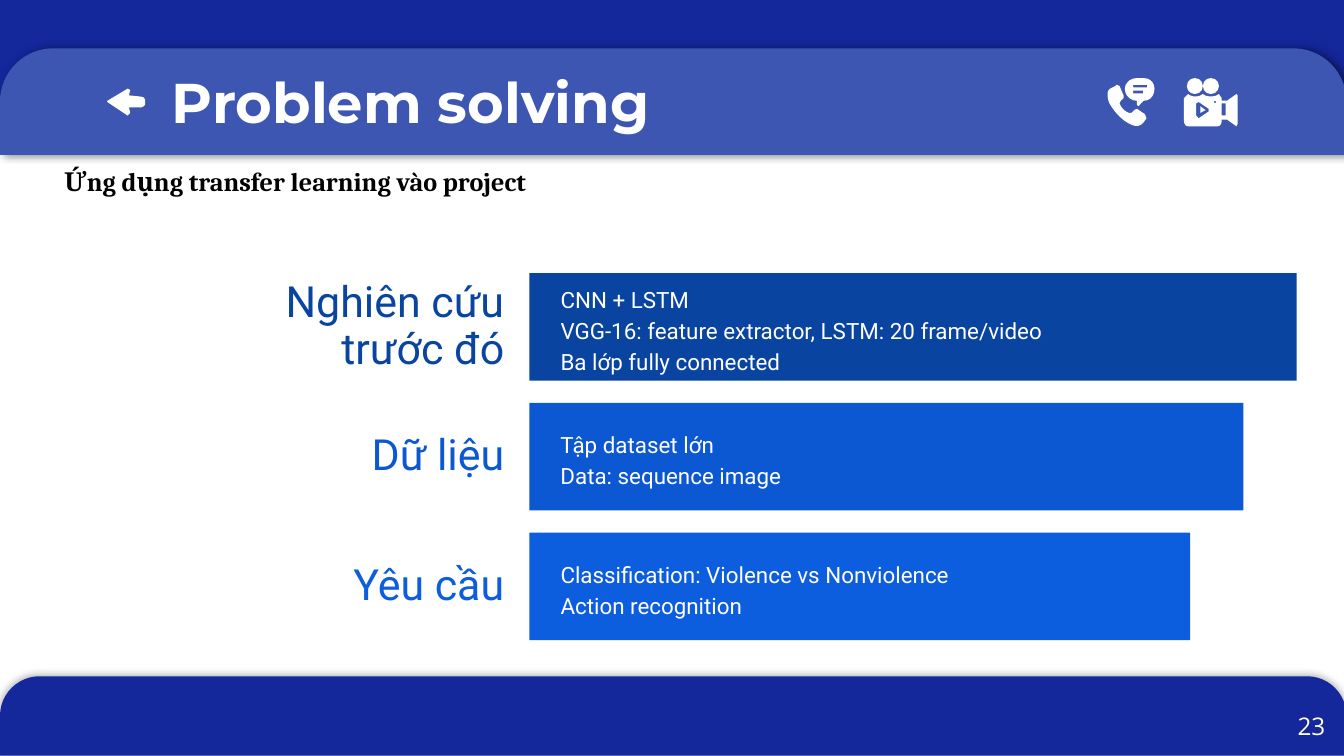
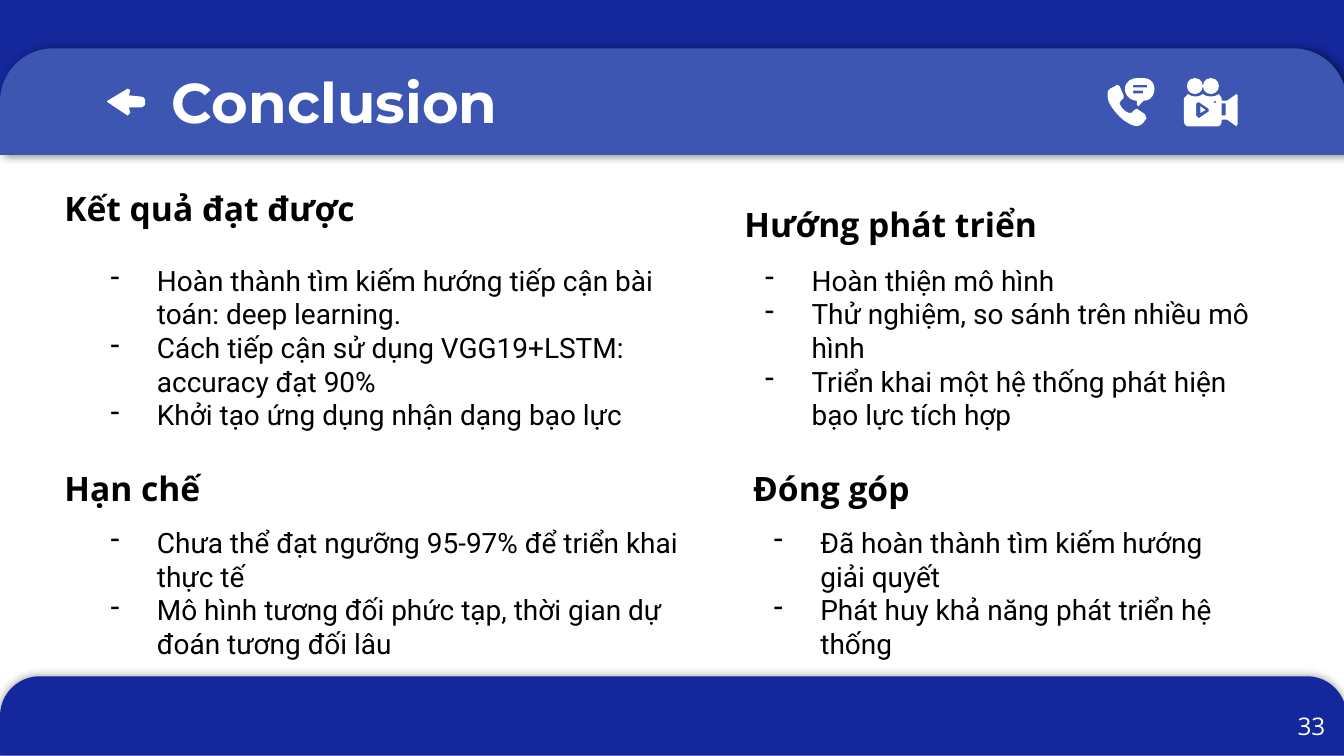
from lxml import etree
from pptx import Presentation
from pptx.dml.color import RGBColor
from pptx.enum.shapes import MSO_SHAPE
from pptx.enum.text import MSO_ANCHOR, PP_ALIGN
from pptx.oxml.ns import qn
from pptx.util import Pt

RECT, OVAL, ROUND_TOP = MSO_SHAPE.RECTANGLE, MSO_SHAPE.OVAL, MSO_SHAPE.ROUND_2_SAME_RECTANGLE
LEFT, RIGHT = PP_ALIGN.LEFT, PP_ALIGN.RIGHT
TOP, MIDDLE = MSO_ANCHOR.TOP, MSO_ANCHOR.MIDDLE

WHITE = RGBColor(0xFF, 0xFF, 0xFF)
BLACK = RGBColor(0x00, 0x00, 0x00)
NAVY = RGBColor(0x14, 0x27, 0x9B)
HEADER_BLUE = RGBColor(0x3D, 0x56, 0xB2)
DARK_BLUE = RGBColor(0x09, 0x44, 0xA1)
MID_BLUE = RGBColor(0x0C, 0x58, 0xD3)
LIGHT_BLUE = RGBColor(0x0D, 0x5D, 0xDF)

# Bands: shape, box, colour, shadow (opacity %, direction in degrees)
BANDS = [
    (ROUND_TOP, (0, 362.3, 721.4, 42.5), NAVY, (31, 237)),
    (RECT, (0, -0.7, 721.4, 73.4), NAVY, None),
    (ROUND_TOP, (0, 25.9, 721.4, 57), HEADER_BLUE, (49, 0)),
]

# Outlines: a pair is a corner, six numbers are a Bézier curve
ARROW = [[(57.4, 54.6), (68.4, 61.9), (69.8, 60.5), (69.1, 57.6), (74.9, 57.6),
          (76.6, 57.6, 77.8, 56.6, 77.8, 55.4), (77.8, 54),
          (77.8, 52.6, 76.6, 51.8, 75.6, 51.8), (69.1, 51.1), (69.8, 48.2),
          (68.4, 47.5), (57.6, 54)]]
HANDSET = [[(598.3, 45.4), (597.6, 46.1), (594.7, 47.5),
            (592.6, 49, 593.3, 51.8, 594, 54.7),
            (596.2, 59, 600.5, 64.1, 604.8, 66.2),
            (608, 68, 610.5, 68.2, 612.7, 65.5), (614.2, 63.4), (613.4, 61.2),
            (609.1, 58.3), (607.7, 59), (606.2, 60.5), (604.8, 60.5),
            (602.6, 59.8, 600.5, 57.6, 599.8, 55.4), (600.5, 54),
            (601.9, 52.6), (601.9, 51.1), (599.8, 46.1)]]
BUBBLE = [[(609.1, 41.8), (605.5, 41.8, 602.6, 44.6, 602.6, 47.5),
           (602.6, 51.1, 605.5, 54, 609.1, 54), (609.1, 56.2), (609.8, 56.9),
           (612.7, 54), (616.3, 54, 618.5, 51.1, 618.5, 47.5),
           (618.5, 44.6, 616.3, 41.8, 612.7, 41.8)],
          [(607, 45.4), (614.5, 45.4), (614.5, 46.8), (607, 46.8)],
          [(607, 48.6), (612.4, 48.6), (612.4, 50), (607, 50)]]
CAMERA = [[(662.4, 50.4), (657.4, 54), (654.5, 54), (654.5, 52.6), (653, 50.4),
           (651, 52.2, 646.4, 52.2, 644.4, 50.4),
           (642.2, 52.2, 638.5, 52.2, 636.5, 50.4), (634.3, 52.6), (634.3, 64.8),
           (634.3, 66.2, 635, 67.7, 636.5, 67.7), (652.3, 67.7),
           (653.8, 67.7, 654.5, 66.2, 654.5, 64.8), (654.5, 64.1),
           (657.4, 64.1), (662.4, 67.7), (663.1, 66.2), (663.1, 51.1)],
          [(654.5, 55.4), (656.6, 55.4), (656.6, 61.9), (654.5, 61.9)],
          [(642.2, 54.7), (647.5, 58.3), (647.5, 59.8), (642.2, 63.4),
           (640.8, 61.9), (640.8, 55.4)],
          [(650.2, 54.7), (650.9, 54), (651.6, 54.7), (650.9, 55.4)]]
PLAY = [[(643, 56.9), (643, 60.5), (645.8, 59)]]
REELS = [(635.8, 41.8), (644.4, 41.8)]


def add_outline(s, contours):
    """Draw a white freeform, sampling its curves; inner contours are holes."""
    fb = None
    for contour in contours:
        points = []
        for step in contour:
            if len(step) == 2:
                points.append(step)
                continue
            x0, y0 = points[-1]
            x1, y1, x2, y2, x3, y3 = step
            for t in (0.2, 0.4, 0.6, 0.8, 1):
                u = 1 - t
                a, b, c, d = u ** 3, 3 * u * u * t, 3 * u * t * t, t ** 3
                points.append((a * x0 + b * x1 + c * x2 + d * x3,
                               a * y0 + b * y1 + c * y2 + d * y3))
        emu = [(Pt(x), Pt(y)) for x, y in points]
        if fb is None:
            fb = s.shapes.build_freeform(*emu[0])
        else:
            fb.move_to(*emu[0])
        fb.add_line_segments(emu[1:], close=True)
    sp = fb.convert_to_shape()
    sp.shadow.inherit = False
    sp.fill.solid()
    sp.fill.fore_color.rgb = WHITE
    sp.line.fill.background()


def add_text(s, box, lines, size, font, color, bold=False, align=LEFT,
             anchor=TOP, spacing=None, dashes=False):
    tf = s.shapes.add_textbox(*map(Pt, box)).text_frame
    tf.word_wrap = True
    tf.vertical_anchor = anchor
    tf.margin_top = tf.margin_bottom = Pt(3.6 if anchor == MIDDLE else 7.2)
    tf.text = "\n".join(lines)
    for p in tf.paragraphs:
        p.alignment = align
        if spacing:
            p.line_spacing = spacing
        if dashes:
            pPr = p._p.get_or_add_pPr()
            pPr.set("marL", str(Pt(36)))
            pPr.set("indent", str(Pt(-25)))
            clr = etree.SubElement(pPr, qn("a:buClr"))
            etree.SubElement(clr, qn("a:srgbClr"), val=str(color))
            etree.SubElement(pPr, qn("a:buChar"), char="-")
        for r in p.runs:
            r.font.size = Pt(size)
            r.font.name = font
            r.font.bold = bold
            r.font.color.rgb = color


prs = Presentation()
prs.slide_width, prs.slide_height = Pt(720), Pt(405)

# Bands, title, icons and page number on every slide
for title, number in [("Problem solving", "23"), ("Conclusion", "33")]:
    s = prs.slides.add_slide(prs.slide_layouts[6])
    for kind, box, color, shadow in BANDS:
        sp = s.shapes.add_shape(kind, *map(Pt, box))
        sp.shadow.inherit = False
        sp.fill.solid()
        sp.fill.fore_color.rgb = color
        sp.line.fill.background()
        if shadow:
            opacity, angle = shadow
            sp.adjustments[0] = 0.5
            effects = sp._element.spPr.find(qn("a:effectLst"))
            outer = etree.SubElement(effects, qn("a:outerShdw"), blurRad=str(Pt(4.5)),
                                     dist=str(Pt(1.5)), dir=str(angle * 60000),
                                     algn="bl", rotWithShape="0")
            clr = etree.SubElement(outer, qn("a:srgbClr"), val=str(BLACK))
            etree.SubElement(clr, qn("a:alpha"), val=str(opacity * 1000))
    add_text(s, (85, 28.8, 578, 45.4), [title], 30, "Montserrat", WHITE, bold=True)
    for icon in (ARROW, HANDSET, BUBBLE, CAMERA, PLAY):
        add_outline(s, icon)
    for x, y in REELS:
        sp = s.shapes.add_shape(OVAL, Pt(x), Pt(y), Pt(8.6), Pt(8.6))
        sp.shadow.inherit = False
        sp.fill.solid()
        sp.fill.fore_color.rgb = WHITE
        sp.line.fill.background()
    add_text(s, (674, 373.7, 43, 31), [number], 13, "Open Sans", WHITE, align=RIGHT)

problem, conclusion = prs.slides

# Problem solving: labelled bars, each shorter than the one above
add_text(problem, (27.4, 81.4, 294.5, 49), ["Ứng dụng transfer learning vào project"],
         14, "Cambria", BLACK, bold=True)
ROWS = [
    ("Nghiên cứu trước đó", 157.7, DARK_BLUE, 375, 45.4,
     ["CNN + LSTM", "VGG-16: feature extractor, LSTM: 20 frame/video",
      "Ba lớp fully connected"]),
    ("Dữ liệu", 213.8, MID_BLUE, 344, 26, ["Tập dataset lớn", "Data: sequence image"]),
    ("Yêu cầu", 154, LIGHT_BLUE, 303, 26,
     ["Classification: Violence vs Nonviolence", "Action recognition"]),
]
BAR_H = 57.6
for i, (label, label_w, color, body_w, body_h, lines) in enumerate(ROWS):
    y = 146.4 + 69.5 * i
    add_text(problem, (277.4 - label_w, y + 4, label_w, 49.7), [label], 23, "Roboto",
             color, align=RIGHT, anchor=MIDDLE, spacing=0.9)
    sp = problem.shapes.add_shape(RECT, Pt(283.6), Pt(y), Pt(411 - 28.5 * i), Pt(BAR_H))
    sp.shadow.inherit = False
    sp.fill.solid()
    sp.fill.fore_color.rgb = color
    sp.line.fill.background()
    add_text(problem, (293.2, y + (BAR_H - body_h) / 2 + 0.9, body_w, body_h), lines,
             12, "Roboto", WHITE, anchor=MIDDLE, spacing=1.15)

# Conclusion: heading position, list box, heading, list
SECTIONS = [
    ((27.4, 93.6), (41, 133.9, 339, 123.8), "Kết quả đạt được",
     ["Hoàn thành tìm kiếm hướng tiếp cận bài toán: deep learning.",
      "Cách tiếp cận sử dụng VGG19+LSTM: accuracy đạt 90%",
      "Khởi tạo ứng dụng nhận dạng bạo lực"]),
    ((27.4, 243.4), (41, 274.3, 330.5, 105), "Hạn chế",
     ["Chưa thể đạt ngưỡng 95-97% để triển khai thực tế",
      "Mô hình tương đối phức tạp, thời gian dự đoán tương đối lâu"]),
    ((391.7, 102.2), (391.7, 133.9, 294.5, 105), "Hướng phát triển",
     ["Hoàn thiện mô hình", "Thử nghiệm, so sánh trên nhiều mô hình",
      "Triển khai một hệ thống phát hiện bạo lực tích hợp"]),
    ((396.4, 243.4), (396.4, 274.3, 277.2, 87), "Đóng góp",
     ["Đã hoàn thành tìm kiếm hướng giải quyết",
      "Phát huy khả năng phát triển hệ thống"]),
]
for (x, y), box, heading, items in SECTIONS:
    add_text(conclusion, (x, y, 225.4, 36), [heading], 18, "Open Sans", BLACK, bold=True)
    add_text(conclusion, box, items, 15, "Roboto", BLACK, dashes=True)

prs.save("out.pptx")
